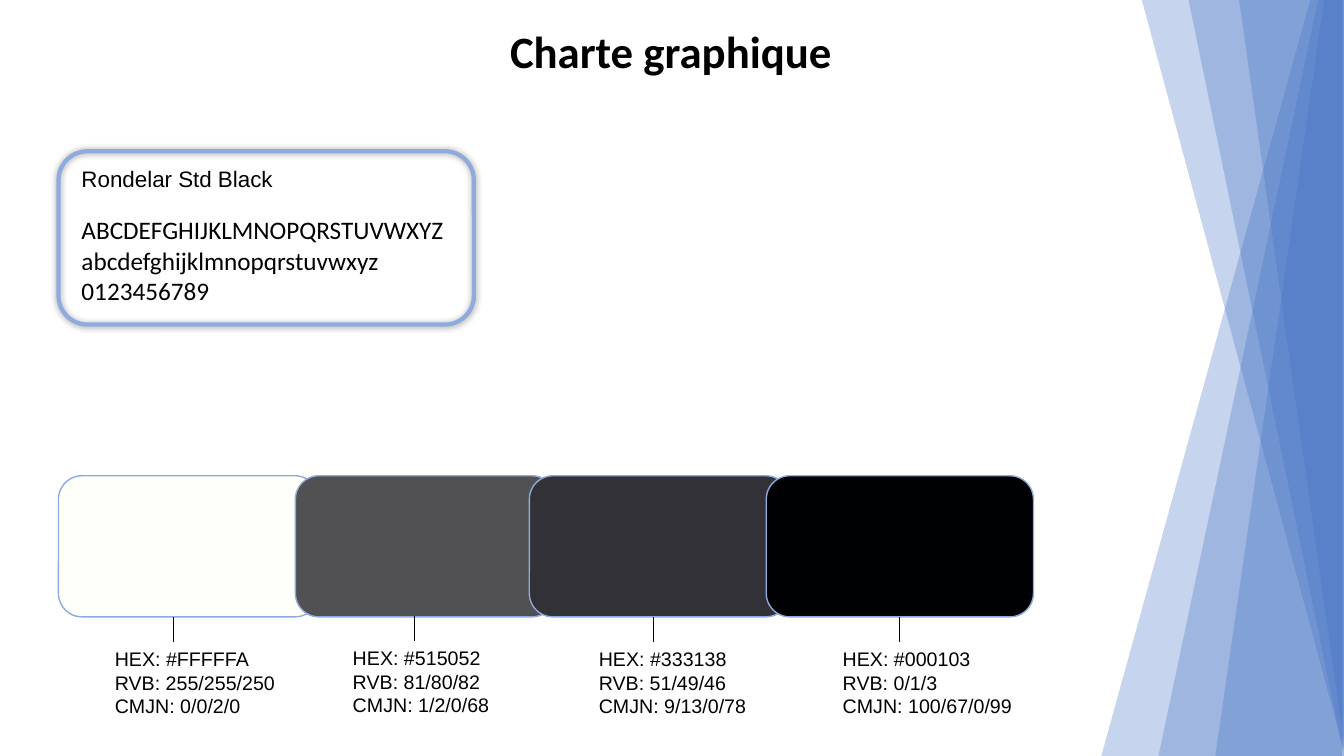
import lxml.etree
import pptx
import pptx.dml.color
import pptx.enum.shapes
import pptx.enum.text
import pptx.oxml
import pptx.oxml.ns
import pptx.util

Inches = pptx.util.Inches
Pt = pptx.util.Pt
RGBColor = pptx.dml.color.RGBColor
Shapes = pptx.enum.shapes.MSO_SHAPE
Align = pptx.enum.text.PP_ALIGN
qn = pptx.oxml.ns.qn

BLACK = RGBColor(0x00, 0x00, 0x00)
BLUE = RGBColor(0x44, 0x72, 0xC4)
PALE_BLUE = RGBColor(0x8F, 0xAA, 0xDC)
IVORY = RGBColor(0xFF, 0xFF, 0xFA)
GREY = RGBColor(0x51, 0x50, 0x52)
CHARCOAL = RGBColor(0x33, 0x31, 0x38)
INK = RGBColor(0x00, 0x01, 0x03)


class StylePage:
    """Holds the current slide and draws each kind of element on it."""

    def __init__(self, deck):
        """Add a blank slide to the deck."""
        self.page = deck.slides.add_slide(deck.slide_layouts[6])

    def text(self, left, top, width, height, lines, size, font="Arial",
             bold=False, align=Align.LEFT):
        """Add a text box with one paragraph per line."""
        box = self.page.shapes.add_textbox(
            Inches(left), Inches(top), Inches(width), Inches(height))
        frame = box.text_frame
        frame.word_wrap = True
        frame.auto_size = pptx.enum.text.MSO_AUTO_SIZE.SHAPE_TO_FIT_TEXT
        frame.text = "\n".join(lines)
        for para in frame.paragraphs:
            para.alignment = align
            for span in para.runs:
                span.font.name = font
                span.font.size = Pt(size)
                span.font.bold = bold
                span.font.color.rgb = BLACK

    def shape(self, kind, left, top, width, height, fill=None, line=None,
              weight=1):
        """Add a preset shape with an optional fill and outline."""
        shape = self.page.shapes.add_shape(
            kind, Inches(left), Inches(top), Inches(width), Inches(height))
        shape.shadow.inherit = False
        if fill is None:
            shape.fill.background()
        else:
            shape.fill.solid()
            shape.fill.fore_color.rgb = fill
        if line is None:
            shape.line.fill.background()
        else:
            shape.line.color.rgb = line
            shape.line.width = Pt(weight)
        return shape

    def facet(self, left, width, height, upside_down=False):
        """Add a translucent right triangle leaning on the right edge."""
        facet = self.shape(Shapes.RIGHT_TRIANGLE, left, -1.21, width, height, BLUE)
        frame = facet.element.spPr.find(qn("a:xfrm"))
        frame.set("flipH", "1")
        if upside_down:
            frame.set("flipV", "1")
        color = facet.element.spPr.find(qn("a:solidFill"))[0]
        lxml.etree.SubElement(color, qn("a:alpha"), val="30000")

    def glowing_frame(self, left, top, width, height):
        """Add a rounded outline with a soft shadow all around."""
        frame = self.shape(Shapes.ROUNDED_RECTANGLE, left, top, width, height,
                           line=PALE_BLUE, weight=3)
        effects = frame.element.spPr.find(qn("a:effectLst"))
        shadow = lxml.etree.SubElement(
            effects, qn("a:outerShdw"), blurRad=str(Pt(5)), dist="0", dir="0",
            algn="ctr", rotWithShape="0")
        color = lxml.etree.SubElement(shadow, qn("a:srgbClr"), val=str(BLACK))
        lxml.etree.SubElement(color, qn("a:alpha"), val="40000")

    def tick(self, x, top, length):
        """Add a thin vertical line."""
        tick = self.page.shapes.add_connector(
            pptx.enum.shapes.MSO_CONNECTOR.STRAIGHT,
            Inches(x), Inches(top), Inches(x), Inches(top + length))
        tick.line.color.rgb = BLACK
        tick.line.width = Pt(0.5)
        lxml.etree.SubElement(tick.element.spPr, qn("a:effectLst"))


deck = pptx.Presentation()
deck.slide_width = Inches(13.33)
deck.slide_height = Inches(7.5)
style = StylePage(deck)

style.text(-0.01, 0.19, 13.33, 0.64, ["Charte graphique"], 32, "Calibri",
           bold=True, align=Align.CENTER)

for left, width in ((8.92, 4.41), (9.96, 3.37), (11.01, 2.3)):
    style.facet(left, width, 15.96)
for left, width in ((11, 2.33), (11.54, 1.78), (12.12, 1.22)):
    style.facet(left, width, 8.66, upside_down=True)

# Swatch left and width, label left, top and width, tick x, colour, RVB, CMJN
SWATCHES = (
    (0.58, 2.58, 1.04, 6.37, 1.89, 1.72, IVORY, "255/255/250", "0/0/2/0"),
    (2.93, 2.58, 3.4, 6.36, 1.78, 4.11, GREY, "81/80/82", "1/2/0/68"),
    (5.25, 2.58, 5.84, 6.37, 1.89, 6.48, CHARCOAL, "51/49/46", "9/13/0/78"),
    (7.6, 2.65, 8.26, 6.37, 2.23, 8.92, INK, "0/1/3", "100/67/0/99"),
)
for left, width, label_left, label_top, label_width, tick_x, color, rvb, cmjn in SWATCHES:
    style.shape(Shapes.ROUNDED_RECTANGLE, left, 4.72, width, 1.4, color, PALE_BLUE)
    style.text(label_left, label_top, label_width, 0.81,
               [f"HEX: #{color}", f"RVB: {rvb}", f"CMJN: {cmjn}"], 14)
    style.tick(tick_x, label_top - 0.25, 0.25)

style.text(0.71, 1.59, 4.41, 0.37, ["Rondelar Std Black"], 16)
style.text(0.71, 2.08, 3.99, 1.01,
           ["ABCDEFGHIJKLMNOPQRSTUVWXYZ", "abcdefghijklmnopqrstuvwxyz", "0123456789"],
           18, "Calibri")
style.glowing_frame(0.58, 1.5, 4.12, 1.72)

deck.save("out.pptx")
